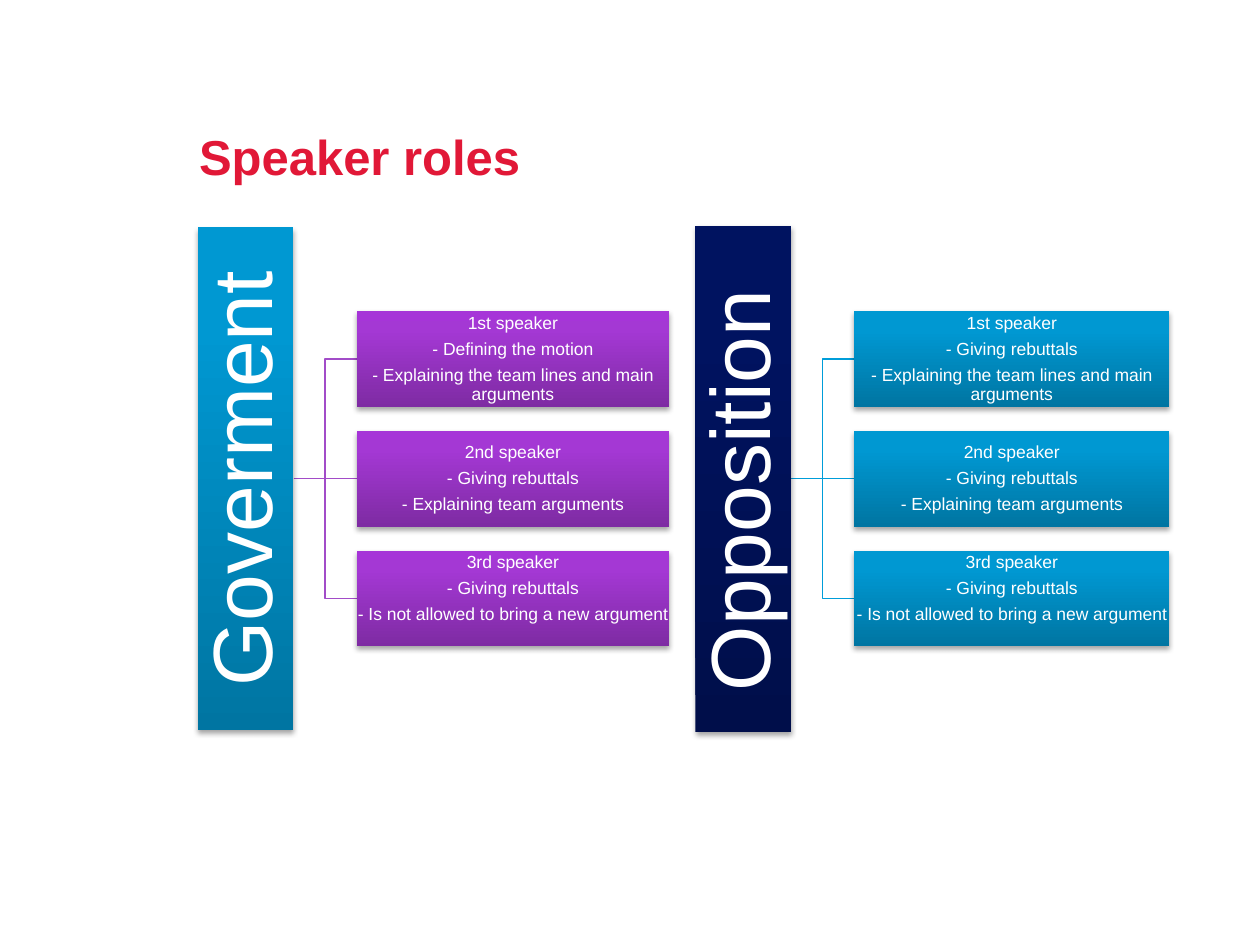
from lxml import etree
from pptx import Presentation
from pptx.dml.color import RGBColor
from pptx.enum.shapes import MSO_CONNECTOR, MSO_SHAPE
from pptx.enum.text import MSO_ANCHOR, PP_ALIGN
from pptx.oxml import parse_xml
from pptx.oxml.ns import qn
from pptx.util import Inches, Pt

RECT = MSO_SHAPE.RECTANGLE
ELBOW, LINE = MSO_CONNECTOR.ELBOW, MSO_CONNECTOR.STRAIGHT
MIDDLE, BOTTOM = MSO_ANCHOR.MIDDLE, MSO_ANCHOR.BOTTOM
LEFT, CENTER = PP_ALIGN.LEFT, PP_ALIGN.CENTER

RED = RGBColor(0xE1, 0x18, 0x37)
WHITE = RGBColor(0xFF, 0xFF, 0xFF)
VIOLET = RGBColor(0xA2, 0x4C, 0xC8)
AZURE = RGBColor(0x00, 0x9D, 0xD9)
PURPLE = [RGBColor(0x7E, 0x2B, 0xA3), RGBColor(0xA4, 0x38, 0xD4), RGBColor(0xA6, 0x35, 0xD8)]
BLUE = [RGBColor(0x00, 0x75, 0xA2), RGBColor(0x00, 0x98, 0xD2), RGBColor(0x00, 0x99, 0xD3)]
NAVY = [RGBColor(0x00, 0x0E, 0x4A), RGBColor(0x00, 0x13, 0x60), RGBColor(0x00, 0x13, 0x60)]

FONT = "Arial"
NS = 'xmlns:a="http://schemas.openxmlformats.org/drawingml/2006/main"'
MID = 3.8
THICK = 0.76
GAP = 0.5
PITCH = 0.95

REBUT = "- Giving rebuttals"
LINES = "- Explaining the team lines and main arguments"
SECOND = ["2nd speaker", REBUT, "- Explaining team arguments"]
THIRD = ["3rd speaker", REBUT, "- Is not allowed to bring a new argument"]


def set_fill(shape, colors):
    stops = "".join(
        f'<a:gs pos="{pos}"><a:srgbClr val="{color}"/></a:gs>'
        for pos, color in zip((0, 80000, 100000), colors))
    grad = parse_xml(
        f'<a:gradFill {NS} rotWithShape="0"><a:gsLst>{stops}</a:gsLst>'
        '<a:lin ang="16200000" scaled="0"/></a:gradFill>')
    shape.fill.background()
    props = shape.element.spPr
    props.replace(props.find(qn("a:noFill")), grad)


def set_shadow(shape):
    shape.shadow.inherit = False
    glow = shape.element.spPr.find(qn("a:effectLst"))
    glow.append(parse_xml(
        f'<a:outerShdw {NS} blurRad="39370" dist="22860" dir="5400000" rotWithShape="0">'
        '<a:srgbClr val="000000"><a:alpha val="35000"/></a:srgbClr></a:outerShdw>'))


def add_block(slide, box, colors, lines, size, inset):
    shape = slide.shapes.add_shape(RECT, *[Inches(v) for v in box])
    shape.line.fill.background()
    set_fill(shape, colors)
    set_shadow(shape)
    frame = shape.text_frame
    frame.word_wrap = True
    frame.vertical_anchor = MIDDLE
    frame.margin_left = frame.margin_right = Inches(inset)
    frame.margin_top = frame.margin_bottom = Inches(inset)
    frame.text = "\n".join(lines)
    for para in frame.paragraphs:
        para.alignment = CENTER
        para.line_spacing = 0.9
        para.space_after = Pt(size * 0.4)
        para.font.name = FONT
        para.font.size = Pt(size)
        para.font.color.rgb = WHITE
    return shape


def add_link(slide, left, end, color):
    kind = LINE if end == MID else ELBOW
    link = slide.shapes.add_connector(
        kind, Inches(left), Inches(MID), Inches(left + GAP), Inches(end))
    link.line.color.rgb = color
    link.line.width = Pt(0.75)
    etree.SubElement(link.element.spPr, qn("a:effectLst"))


def add_team(slide, left, length, width, name, roles, bar_fill, box_fill, color):
    edge = left + THICK
    mids = [MID + PITCH * step for step in (-1, 0, 1)]
    for mid in mids:
        add_link(slide, edge, mid, color)
    box = left + (THICK - length) / 2, MID - THICK / 2, length, THICK
    bar = add_block(slide, box, bar_fill, [name], 48, 0.03)
    bar.rotation = 270
    for mid, lines in zip(mids, roles):
        box = edge + GAP, mid - THICK / 2, width, THICK
        card = add_block(slide, box, box_fill, lines, 10, 0)
        if lines is THIRD:
            card.text_frame.margin_bottom = Inches(0.15)


def add_title(slide, text):
    title = slide.shapes.title
    title.left, title.top = Inches(1.58), Inches(0.98)
    title.width, title.height = Inches(7.74), Inches(0.55)
    frame = title.text_frame
    frame.text = text
    frame.margin_left = 0
    frame.vertical_anchor = BOTTOM
    para = frame.paragraphs[0]
    para.alignment = LEFT
    para.line_spacing = 0.9
    para.font.name = FONT
    para.font.size = Pt(28)
    para.font.bold = True
    para.font.color.rgb = RED


def main():
    deck = Presentation()
    deck.slide_width, deck.slide_height = Inches(10), Inches(7.5)
    slide = deck.slides.add_slide(deck.slide_layouts[5])
    add_title(slide, "Speaker roles")
    first = ["1st speaker", "- Defining the motion", LINES]
    add_team(slide, 1.57, 3.99, 2.48, "Goverment",
             [first, SECOND, THIRD], BLUE, PURPLE, VIOLET)
    first = ["1st speaker", REBUT, LINES]
    add_team(slide, 5.52, 4.02, 2.5, "Opposition ",
             [first, SECOND, THIRD], NAVY, BLUE, AZURE)
    deck.save("out.pptx")


if __name__ == "__main__":
    main()
